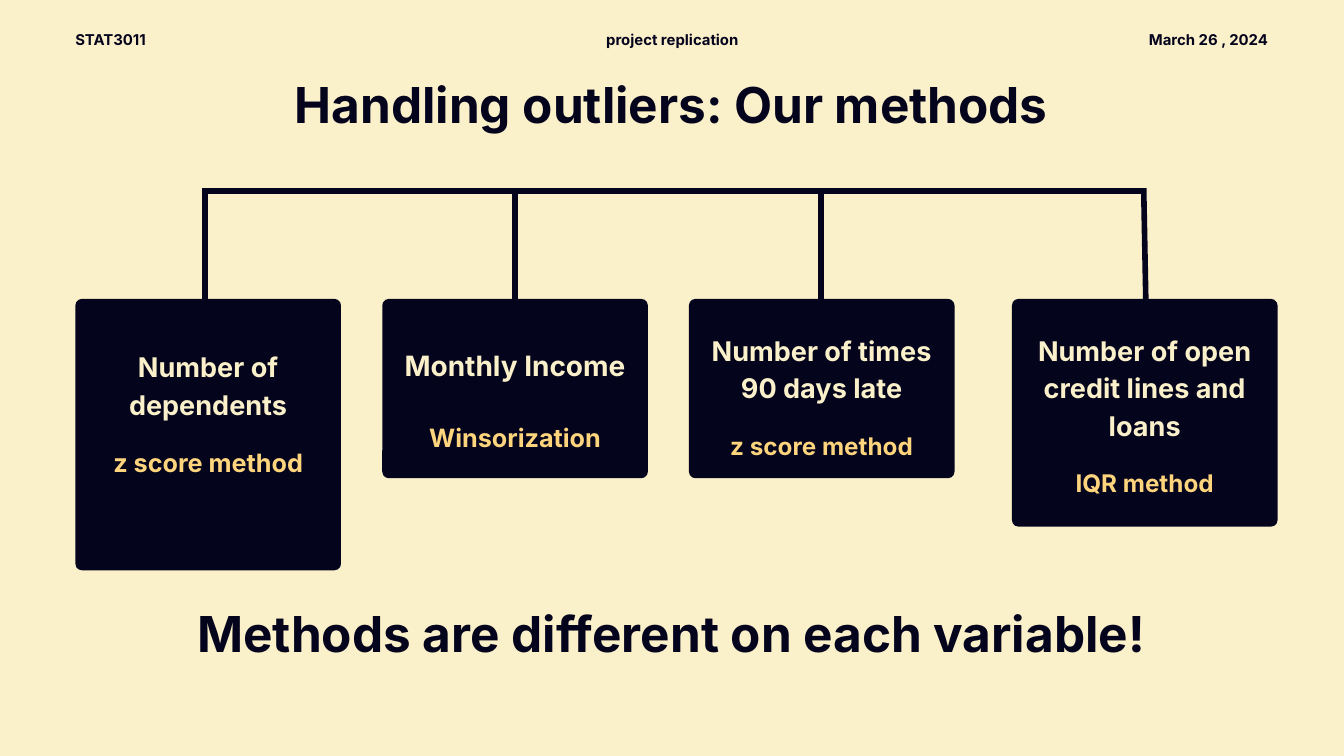
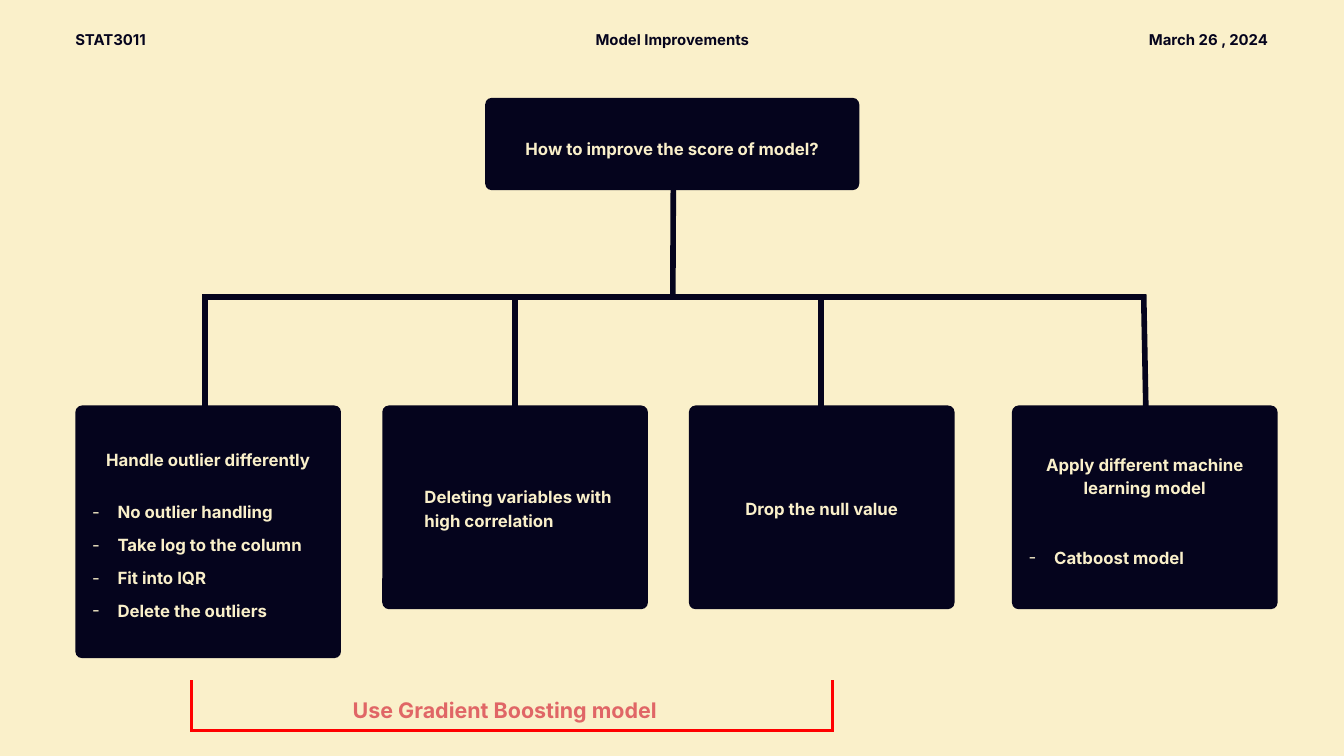
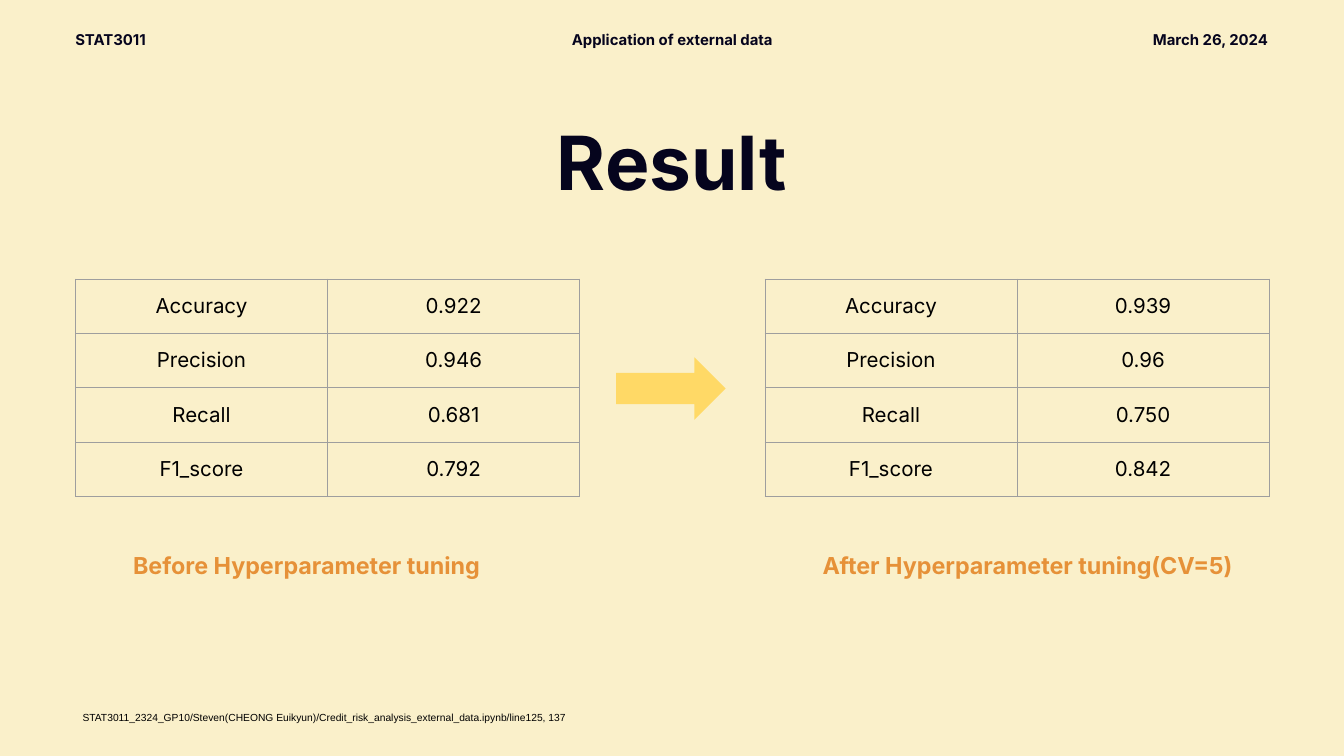
from lxml import etree
from pptx import Presentation
from pptx.dml.color import RGBColor
from pptx.enum.shapes import MSO_CONNECTOR, MSO_SHAPE
from pptx.enum.text import MSO_ANCHOR, PP_ALIGN
from pptx.oxml.ns import qn
from pptx.util import Cm, Pt

CREAM = RGBColor(0xFA, 0xF0, 0xCA)
NAVY = RGBColor(0x05, 0x04, 0x1D)
GOLD = RGBColor(0xFE, 0xD5, 0x7D)
RED = RGBColor(0xFF, 0x00, 0x00)
CORAL = RGBColor(0xE0, 0x66, 0x66)
ORANGE = RGBColor(0xE6, 0x91, 0x38)
YELLOW = RGBColor(0xFF, 0xD9, 0x66)
GREY = RGBColor(0x9E, 0x9E, 0x9E)
BLACK = RGBColor(0x00, 0x00, 0x00)

LEFT, CENTER, RIGHT, JUSTIFY = PP_ALIGN.LEFT, PP_ALIGN.CENTER, PP_ALIGN.RIGHT, PP_ALIGN.JUSTIFY
TOP, MIDDLE = MSO_ANCHOR.TOP, MSO_ANCHOR.MIDDLE
ROUNDED, ARROW = MSO_SHAPE.ROUNDED_RECTANGLE, MSO_SHAPE.RIGHT_ARROW
STRAIGHT = MSO_CONNECTOR.STRAIGHT


def write(frame, text, size=18, color=NAVY, bold=True, align=CENTER,
          spacing=None, before=0, bullet=None, font="Inter"):
    """Fill the first paragraph of a frame, or add one after the others."""
    para = frame.paragraphs[0]
    if para.runs:
        para = frame.add_paragraph()
    para.alignment = align
    if spacing:
        para.line_spacing = spacing
    if before:
        para.space_before = Pt(before)
    if bullet:
        props = para._p.get_or_add_pPr()
        props.set("marL", str(Cm(1.27)))
        props.set("indent", str(-Cm(0.96)))
        tint = etree.SubElement(props, qn("a:buClr"))
        etree.SubElement(tint, qn("a:srgbClr"), val=str(color))
        etree.SubElement(props, qn("a:buFont"), typeface=font)
        etree.SubElement(props, qn("a:buChar"), char=bullet)
    span = para.add_run()
    span.text = text
    span.font.name = font
    span.font.size = Pt(size)
    span.font.bold = bold
    span.font.color.rgb = color


def draw_line(page, x1, y1, x2, y2, color=NAVY, width=6):
    line = page.shapes.add_connector(STRAIGHT, Cm(x1), Cm(y1), Cm(x2), Cm(y2))
    line.line.color.rgb = color
    line.line.width = Pt(width)
    etree.SubElement(line._element.spPr, qn("a:effectLst"))


deck = Presentation()
deck.slide_width, deck.slide_height = Cm(50.8), Cm(28.58)
pages = [deck.slides.add_slide(deck.slide_layouts[6]) for _ in range(3)]
methods, improvements, result = pages

# Background and header of every page
headers = [
    ("project replication", "March 26 , 2024"),
    ("Model Improvements", "March 26 , 2024"),
    ("Application of external data", "March 26, 2024"),
]
labels = []
for page, (topic, date) in zip(pages, headers):
    page.background.fill.solid()
    page.background.fill.fore_color.rgb = CREAM
    for text, left, width, align in (("STAT3011", 2.85, 4.37, LEFT),
                                     (topic, 20.4, 10.03, CENTER),
                                     (date, 42.87, 5.06, RIGHT)):
        labels.append((page, text, left, 0.89, width, 0.69, 0,
                       dict(size=16, align=align, spacing=1.4)))

# Titles, captions and notes
title = dict(size=53, spacing=0.8)
caption = dict(size=25, color=ORANGE, align=JUSTIFY, spacing=1.15)
labels += [
    (methods, "Handling outliers: Our methods", 2.85, 3.23, 45.09, 1.8, 0, title),
    (methods, "Methods are different on each variable!", 2.85, 23.22, 45.09, 1.8, 0, title),
    (improvements, "Use Gradient Boosting model", 13.08, 26.11, 12.52, 1.5, 0.25,
     dict(size=23, color=CORAL, align=LEFT)),
    (result, "Result", 2.85, 5.03, 45.09, 2.74, 0, dict(size=80, spacing=0.8)),
    (result, "Before Hyperparameter tuning", 5.03, 20.68, 14.68, 1.07, 0, caption),
    (result, "After Hyperparameter tuning(CV=5)", 31.09, 20.68, 16.46, 1.07, 0, caption),
    (result, "STAT3011_2324_GP10/Steven(CHEONG Euikyun)/"
     "Credit_risk_analysis_external_data.ipynb/line125, 137",
     2.87, 26.67, 27, 0.99, 0.25,
     dict(size=11, color=BLACK, bold=False, align=LEFT, font="Arial")),
]
for page, text, left, top, width, height, inset, style in labels:
    frame = page.shapes.add_textbox(Cm(left), Cm(top), Cm(width), Cm(height)).text_frame
    frame.word_wrap = True
    frame.margin_left = frame.margin_right = Cm(inset)
    frame.margin_top = frame.margin_bottom = Cm(inset)
    write(frame, text, **style)

# Trees: a bar, four drops, and a card under each drop
drops = [(7.75, 7.75), (19.46, 19.46), (31.04, 31.04), (43.23, 43.31)]
bar_ends = [7.7, 25.5, 43.31]
for page, bar_top in ((methods, 7.21), (improvements, 11.23)):
    for start, end in zip(bar_ends, bar_ends[1:]):
        draw_line(page, start, bar_top, end, bar_top)
    for head, foot in drops:
        draw_line(page, head, bar_top - 0.1, foot, bar_top + 4.19)
draw_line(improvements, 25.45, 7.16, 25.43, 11.33)

# Cards: page, left, top, width, height, anchor, top inset, left inset, paragraphs
lefts = [2.85, 14.45, 26.04, 38.25]
variables = [
    ("Number of dependents", 29, "z score method", 27, 24, 10.26, 1.71),
    ("Monthly Income", 30, "Winsorization", 27, 38, 6.78, 1.63),
    ("Number of times 90 days late", 29, "z score method", 26, 24, 6.78, 1.09),
    ("Number of open credit lines and loans", 29, "IQR method", 26, 24, 8.61, 1.09),
]
cards = []
for left, (name, name_size, method, method_size, gap, height, inset) in zip(lefts, variables):
    cards.append((methods, left, 11.3, 10.04, height, TOP, inset, 0.25, [
        (name, dict(size=name_size, spacing=1.15)),
        (method, dict(size=method_size, color=GOLD, spacing=1.15, before=gap)),
    ]))

item = dict(align=LEFT, spacing=1.63, bullet="-")
ideas = [
    (9.55, TOP, 1.6, 0.25, [
        ("Handle outlier differently", {}),
        ("No outlier handling", dict(item, before=21)),
        ("Take log to the column", item),
        ("Fit into IQR", item),
        ("Delete the outliers", item),
    ]),
    (7.7, MIDDLE, 0.25, 1.52, [
        ("Deleting variables with high correlation", dict(align=LEFT, spacing=1.15)),
    ]),
    (7.7, MIDDLE, 0.25, 0.25, [("Drop the null value", dict(spacing=1.15))]),
    (7.7, TOP, 1.66, 0.25, [
        ("Apply different machine learning model", dict(spacing=1.15)),
        ("Catboost model", dict(item, spacing=1.15, before=50)),
    ]),
]
for left, idea in zip(lefts, ideas):
    cards.append((improvements, left, 15.33, 10.04, *idea))
cards.append((improvements, 18.34, 3.7, 14.14, 3.49, MIDDLE, 0.25, 0.25, [
    ("How to improve the score of model?", dict(spacing=1.5)),
]))

for page, left, top, width, height, anchor, inset, indent, paragraphs in cards:
    card = page.shapes.add_shape(ROUNDED, Cm(left), Cm(top), Cm(width), Cm(height))
    card.adjustments[0] = 0.25 / min(width, height)
    card.shadow.inherit = False
    card.fill.solid()
    card.fill.fore_color.rgb = NAVY
    card.line.fill.background()
    frame = card.text_frame
    frame.word_wrap = True
    frame.vertical_anchor = anchor
    frame.margin_top, frame.margin_left = Cm(inset), Cm(indent)
    frame.margin_right = frame.margin_bottom = Cm(0.25)
    for text, style in paragraphs:
        write(frame, text, **{"color": CREAM, **style})

# Red bracket under the first three ideas
draw_line(improvements, 7.19, 27.61, 31.52, 27.61, color=RED, width=3)
for x in (7.24, 31.48):
    draw_line(improvements, x, 27.61, x, 25.7, color=RED, width=3)

# Score tables before and after tuning
metrics = ["Accuracy", "Precision", "Recall", "F1_score"]
scores = [
    (2.85, ["0.922", "0.946", "0.681", "0.792"]),
    (28.91, ["0.939", "0.96", "0.750", "0.842"]),
]
for left, values in scores:
    table = result.shapes.add_table(4, 2, Cm(left), Cm(10.54), Cm(19.06), Cm(8.24)).table
    table.first_row = table.horz_banding = False
    for row, texts in enumerate(zip(metrics, values)):
        for column, text in enumerate(texts):
            cell = table.cell(row, column)
            cell.vertical_anchor = MIDDLE
            cell.margin_left = cell.margin_right = Cm(0.25)
            cell.margin_top = cell.margin_bottom = Cm(0.25)
            for side in ("a:lnL", "a:lnR", "a:lnT", "a:lnB"):
                border = etree.SubElement(cell._tc.get_or_add_tcPr(), qn(side), w=str(Pt(0.75)))
                paint = etree.SubElement(border, qn("a:solidFill"))
                etree.SubElement(paint, qn("a:srgbClr"), val=str(GREY))
            cell.fill.background()
            write(cell.text_frame, text, size=22, color=BLACK, bold=False)

# Arrow between the tables
arrow = result.shapes.add_shape(ARROW, Cm(23.29), Cm(13.51), Cm(4.14), Cm(2.36))
arrow.shadow.inherit = False
arrow.fill.solid()
arrow.fill.fore_color.rgb = YELLOW
arrow.line.fill.background()

deck.save("out.pptx")
